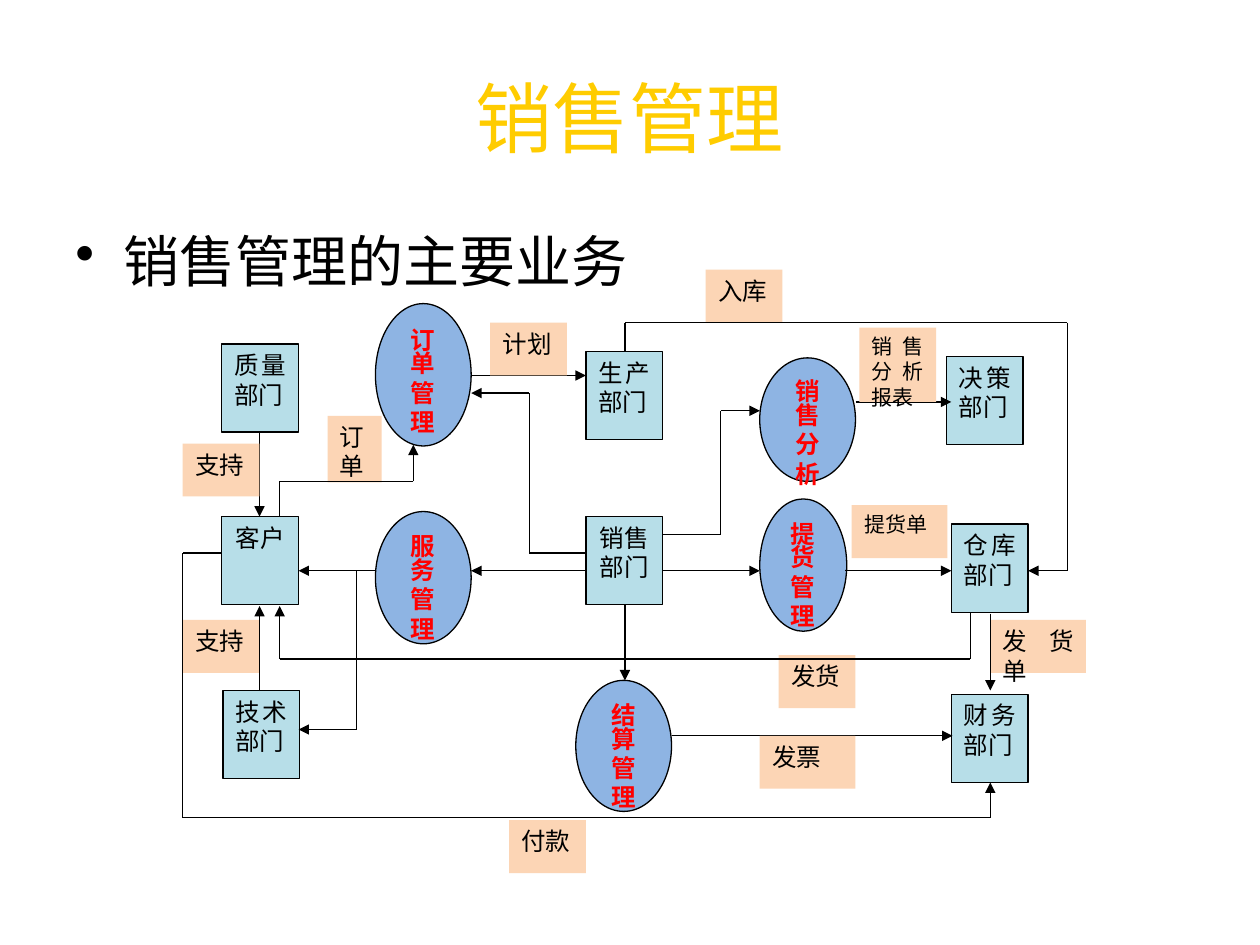
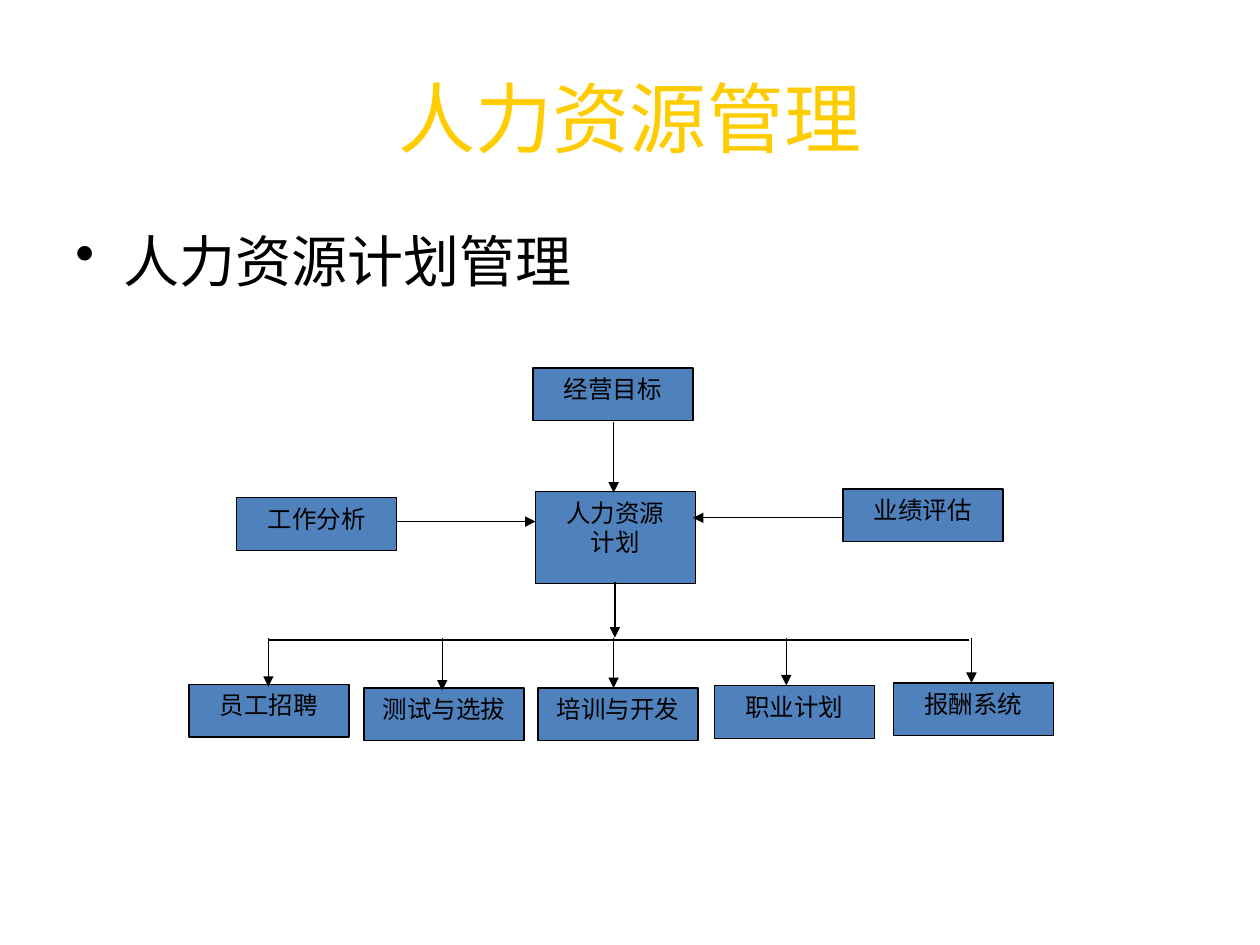
from lxml import etree
from pptx import Presentation
from pptx.dml.color import RGBColor
from pptx.enum.shapes import MSO_CONNECTOR, MSO_SHAPE
from pptx.enum.text import MSO_ANCHOR, PP_ALIGN
from pptx.oxml.ns import qn
from pptx.util import Emu, Pt

PX = 9144
RECT, OVAL = MSO_SHAPE.RECTANGLE, MSO_SHAPE.OVAL
STRAIGHT = MSO_CONNECTOR.STRAIGHT
TOP, MIDDLE = MSO_ANCHOR.TOP, MSO_ANCHOR.MIDDLE
CENTER, JUSTIFY, LEFT = PP_ALIGN.CENTER, PP_ALIGN.JUSTIFY, PP_ALIGN.LEFT

GOLD = RGBColor(0xFF, 0xCC, 0x00)
BLACK = RGBColor(0x00, 0x00, 0x00)
RED = RGBColor(0xFF, 0x00, 0x00)
PEACH = RGBColor(0xFC, 0xD5, 0xB5)
TEAL = RGBColor(0xB7, 0xDE, 0xE8)
SKY = RGBColor(0x8E, 0xB4, 0xE3)
BLUE = RGBColor(0x4F, 0x81, 0xBD)

BODY, CJK, SERIF = "Calibri", "Noto Sans CJK SC", "Times New Roman"


def px(n):
    return Emu(n * PX)


def write(tf, paragraphs, font=BODY, size=14, color=BLACK, bold=False,
          align=CENTER, anchor=TOP, first_spacing=None, bullet=None):
    tf.word_wrap = True
    tf.vertical_anchor = anchor
    for i, runs in enumerate(paragraphs):
        p = tf.paragraphs[0] if i == 0 else tf.add_paragraph()
        p.alignment = align
        if i == 0 and first_spacing:
            p.line_spacing = first_spacing
        if bullet:
            pPr = p._p.get_or_add_pPr()
            pPr.set("marL", str(px(38)))
            pPr.set("indent", str(-px(38)))
            etree.SubElement(pPr, qn("a:buChar"), char=bullet)
        for text, face in [(runs, font)] if isinstance(runs, str) else runs:
            r = p.add_run()
            r.text = text
            r.font.name = face
            r.font.size = Pt(size)
            r.font.bold = bold
            r.font.color.rgb = color


class Deck:
    def __init__(self):
        self.prs = Presentation()
        self.prs.slide_width, self.prs.slide_height = px(1000), px(750)
        self.s = None

    def slide(self, title, heading, heading_font=BODY):
        self.s = self.prs.slides.add_slide(self.prs.slide_layouts[6])
        self.text(50, 30, 900, 125, [title], size=44, color=GOLD, anchor=MIDDLE)
        self.text(50, 175, 900, 495, [heading], font=heading_font, size=32,
                  align=LEFT, bullet="•")

    def text(self, x, y, w, h, paragraphs, **fmt):
        tb = self.s.shapes.add_textbox(px(x), px(y), px(w), px(h))
        write(tb.text_frame, paragraphs, **fmt)

    def shape(self, kind, x, y, w, h, paragraphs, fill, outline=True, **fmt):
        sp = self.s.shapes.add_shape(kind, px(x), px(y), px(w), px(h))
        sp.shadow.inherit = False
        sp.fill.solid()
        sp.fill.fore_color.rgb = fill
        if outline:
            sp.line.color.rgb = BLACK
            sp.line.width = Pt(0.75)
        else:
            sp.line.fill.background()
        write(sp.text_frame, paragraphs, **fmt)

    def label(self, x, y, text, w=61, h=42, size=14):
        self.shape(RECT, x, y, w, h, [text], PEACH, outline=False,
                   size=size, align=JUSTIFY)

    def department(self, x, y, text, align=JUSTIFY):
        self.shape(RECT, x, y, 61, 70, [text], TEAL, align=align)

    def process(self, x, y, w, h, *words):
        self.shape(OVAL, x, y, w, h, words, SKY, color=RED, bold=True,
                   first_spacing=0.8)

    def plan_box(self, x, y, *words, h=42):
        self.shape(RECT, x, y, 127, h, words, BLUE, font=SERIF)

    def route(self, *points, arrow=True):
        legs = list(zip(points, points[1:]))
        for i, (start, end) in enumerate(legs):
            c = self.s.shapes.add_connector(
                STRAIGHT, *(px(n) for n in (*start, *end)))
            c.line.color.rgb = BLACK
            c.line.width = Pt(0.75)
            if arrow and i == len(legs) - 1:
                etree.SubElement(c.line._get_or_add_ln(), qn("a:tailEnd"),
                                 type="triangle")
            etree.SubElement(c._element.spPr, qn("a:effectLst"))


def sales_slide(d):
    d.slide("销售管理", "销售管理的主要业务", CJK)

    d.label(145, 492, "支持")
    d.label(786, 492, "发货单", w=76)
    d.label(676, 401, "提货单", w=76, size=12)
    d.label(618, 520, "发货")
    d.label(260, 330, "订单", w=43, h=53)
    d.label(560, 214, "入库")

    for x, y, name in [(465, 279, "生产部门"), (755, 416, "仓库部门"),
                       (755, 551, "财务部门"), (176, 273, "质量部门"),
                       (177, 548, "技术部门"), (751, 283, "决策部门")]:
        d.department(x, y, name)
    d.department(465, 410, "销售部门", align=CENTER)
    d.department(176, 410, "客户", align=CENTER)

    d.process(298, 241, 76, 113, "订单", "管理")
    d.process(603, 396, 69, 105, "提货", "管理")
    d.process(457, 540, 76, 104, "结算", "管理")
    d.process(298, 406, 76, 105, "服务", "管理")
    d.process(603, 284, 76, 98, "销售", "分析")

    d.route((206, 343), (206, 410))
    d.route((206, 548), (206, 481))
    d.route((222, 410), (222, 382), (328, 382), (328, 353))
    d.route((374, 298), (465, 298))
    d.route((465, 439), (420, 439), (420, 312), (374, 312))
    d.route((465, 453), (374, 453))
    d.route((298, 453), (237, 453))
    d.route((283, 453), (283, 579), (237, 579))
    d.route((526, 424), (572, 424), (572, 326), (603, 326))
    d.route((526, 453), (603, 453))
    d.route((671, 453), (755, 453))
    d.route((679, 319), (755, 319))
    d.route((496, 279), (496, 256), (847, 256), (847, 453), (816, 453))
    d.route((496, 480), (496, 540))
    d.route((533, 584), (756, 584))
    d.route((770, 486), (770, 523), (222, 523), (222, 481))
    d.route((786, 487), (786, 548))
    d.route((176, 439), (145, 439), (145, 649), (786, 649), (786, 621))

    d.label(404, 651, "付款")
    d.label(389, 256, "计划")
    d.label(682, 260, "销售分析报表", h=59, size=12)
    d.label(145, 352, "支持")
    d.label(603, 584, "发票", w=76)


def staffing_slide(d):
    d.slide([("人力资源", BODY), ("管理", CJK)], "人力资源计划管理")

    d.plan_box(423, 292, "经营目标")
    d.plan_box(188, 395, "工作分析")
    d.plan_box(669, 388, "业绩评估")
    d.plan_box(425, 390, "人力资源", "计划", h=73)

    d.route((487, 335), (487, 391))
    d.route((315, 414), (425, 414))
    d.route((668, 411), (550, 411))
    d.route((488, 462), (488, 506))
    d.route((213, 508), (769, 508), arrow=False)

    for x, y, arrow_x, tip_y, name in [(150, 543, 213, 545, "员工招聘"),
                                       (289, 546, 351, 548, "测试与选拔"),
                                       (427, 546, 487, 546, "培训与开发"),
                                       (567, 544, 624, 544, "职业计划"),
                                       (709, 542, 771, 542, "报酬系统")]:
        d.plan_box(x, y, name)
        d.route((arrow_x, 506), (arrow_x, tip_y))


def main():
    d = Deck()
    sales_slide(d)
    staffing_slide(d)
    d.prs.save("out.pptx")


if __name__ == "__main__":
    main()
